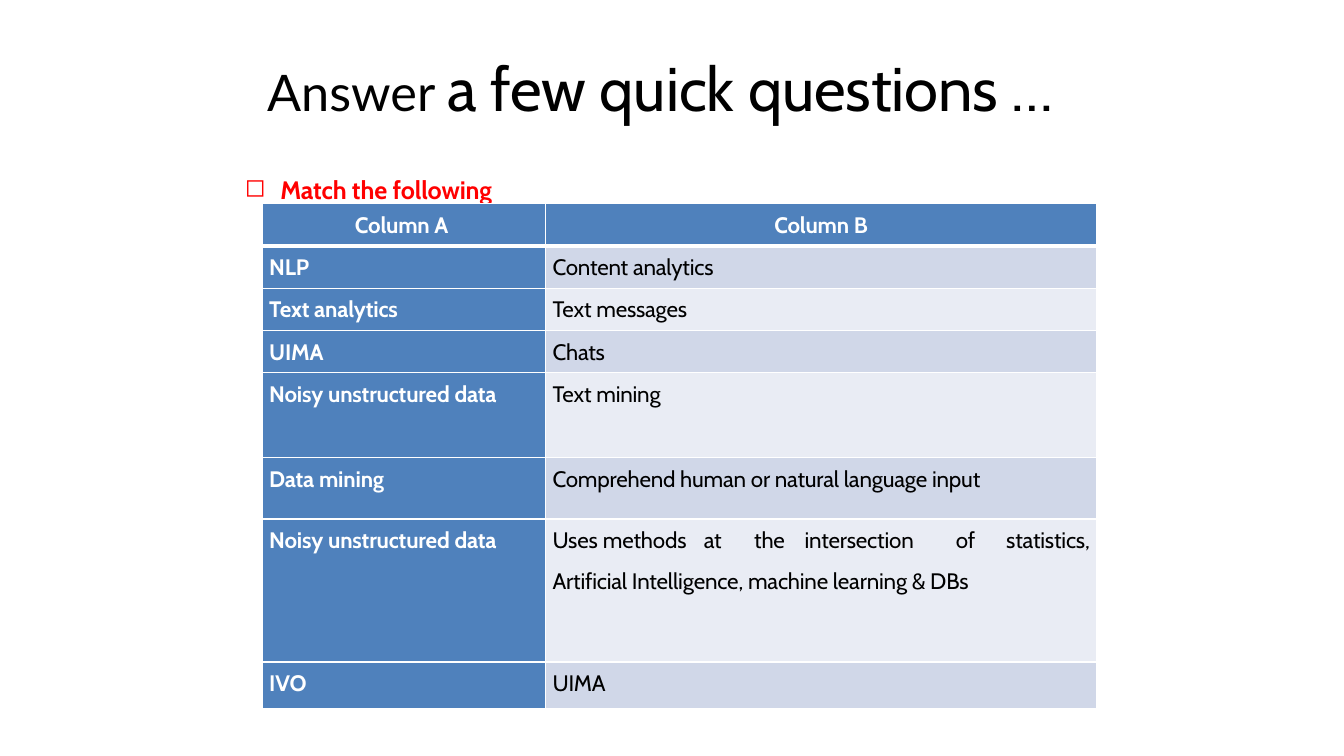
import pptx
import pptx.util
import pptx.dml.color
import pptx.enum.text
import pptx.oxml
import pptx.oxml.ns

Inches, Pt = pptx.util.Inches, pptx.util.Pt
RGBColor = pptx.dml.color.RGBColor
ALIGN = pptx.enum.text.PP_ALIGN
ANCHOR = pptx.enum.text.MSO_ANCHOR
NAMESPACE = pptx.oxml.ns.nsdecls("a")

BLACK = RGBColor(0x00, 0x00, 0x00)
WHITE = RGBColor(0xFF, 0xFF, 0xFF)
RED = RGBColor(0xFF, 0x00, 0x00)
BLUE = RGBColor(0x4F, 0x81, 0xBC)
BANDS = [RGBColor(0xE9, 0xEC, 0xF4), RGBColor(0xD0, 0xD7, 0xE8)]


def add_span(para, text, spacing=-10, **formats):
    """Add a run; spacing is in hundredths of a point."""
    span = para.add_run()
    span.text = text
    color = formats.pop("color", BLACK)
    for name, value in {"name": "Cabin", "bold": False, **formats}.items():
        setattr(span.font, name, value)
    span.font.color.rgb = color
    span.font._element.set("spc", str(spacing))


def set_para(para, left=0, hanging=0, tabs=(), bullet=None, **formats):
    """Set paragraph formats, indents, bullet and tab stops (inches)."""
    for name, value in formats.items():
        setattr(para, name, value)
    properties = para._p.get_or_add_pPr()
    properties.set("marL", str(Inches(left)))
    properties.set("indent", str(Inches(-hanging)))
    mark = f'<a:buChar {NAMESPACE} char="{bullet}"/>' if bullet else f"<a:buNone {NAMESPACE}/>"
    properties.append(pptx.oxml.parse_xml(mark))
    if tabs:
        stops = "".join(f'<a:tab pos="{Inches(stop)}" algn="l"/>' for stop in tabs)
        properties.append(pptx.oxml.parse_xml(f"<a:tabLst {NAMESPACE}>{stops}</a:tabLst>"))


deck = pptx.Presentation()
deck.slide_width, deck.slide_height = Inches(13.33), Inches(7.5)
page = deck.slides.add_slide(deck.slide_layouts.get_by_name("Title Only"))

# Title and prompt
title = page.shapes.title
title.left, title.top, title.width, title.height = map(Inches, (2.64, 0.23, 8.05, 1.35))
prompt = page.shapes.add_textbox(*map(Inches, (2.42, 1.72, 2.68, 0.33)))
frame_formats = {
    "margin_left": 0, "margin_right": 0, "margin_top": Inches(0.01), "margin_bottom": 0,
    "word_wrap": True, "auto_size": pptx.enum.text.MSO_AUTO_SIZE.NONE,
}
for box, anchor in [(title, ANCHOR.MIDDLE), (prompt, ANCHOR.TOP)]:
    box.text_frame.vertical_anchor = anchor
    for name, value in frame_formats.items():
        setattr(box.text_frame, name, value)

para = title.text_frame.paragraphs[0]
set_para(para, left=0.01, alignment=ALIGN.LEFT, line_spacing=0.9, space_before=Pt(0.9))
add_span(para, "Answer ", spacing=0, name="Lato", size=Pt(36))
add_span(para, "a few quick questions …", size=Pt(44))

para = prompt.text_frame.paragraphs[0]
set_para(para, left=0.36, hanging=0.35, tabs=[0.36], bullet="◻", space_before=Pt(1))
add_span(para, "Match the following", size=Pt(18), bold=True, color=RED)

# Matching table: column A, column B, row height
spread_line = "\t".join(["Uses", "methods", "at", "the", "intersection", "of", "statistics,"])
SPREAD_TABS = [0.71, 1.74, 2.13, 2.65, 4.04, 4.42]
rows = [
    (["Column A"], ["Column B"], 0.42),
    (["NLP"], ["Content analytics"], 0.42),
    (["Text analytics"], ["Text messages"], 0.42),
    (["UIMA"], ["Chats"], 0.42),
    (["Noisy unstructured data"], ["Text mining"], 0.84),
    (["Data mining"], ["Comprehend human or natural language input"], 0.61),
    (["Noisy unstructured data"],
     [spread_line, "Artificial Intelligence, machine learning & DBs"], 1.42),
    (["IVO"], ["UIMA"], 0.46),
]
table = page.shapes.add_table(len(rows), 2, *map(Inches, (2.6, 2.02, 8.28, 5))).table
for column, width in zip(table.columns, (2.81, 5.47)):
    column.width = Inches(width)

cell_margins = {"margin_left": 0, "margin_right": 0, "margin_top": Inches(0.08), "margin_bottom": 0}
for row_index, (left_lines, right_lines, height) in enumerate(rows):
    table.rows[row_index].height = Inches(height)
    header = row_index == 0
    for column_index, lines in enumerate((left_lines, right_lines)):
        cell = table.cell(row_index, column_index)
        strong = header or column_index == 0
        for name, value in cell_margins.items():
            setattr(cell, name, value)

        # White borders, thick under the header, then the fill
        widths = {"L": 1, "R": 1, "T": 3 if row_index == 1 else 1, "B": 3 if header else 1}
        for side, width in widths.items():
            cell._tc.get_or_add_tcPr().append(pptx.oxml.parse_xml(
                f'<a:ln{side} {NAMESPACE} w="{Pt(width)}"><a:solidFill>'
                f'<a:srgbClr val="{WHITE}"/></a:solidFill></a:ln{side}>'))
        cell.fill.solid()
        cell.fill.fore_color.rgb = BLUE if strong else BANDS[row_index % 2]

        # Cell text
        centred = header and column_index == 1
        indent = (0.92, 0)[column_index] if header else 0.07
        for line_index, line in enumerate(lines):
            para = cell.text_frame.add_paragraph() if line_index else cell.text_frame.paragraphs[0]
            set_para(para, left=indent, tabs=SPREAD_TABS if line == spread_line else (),
                     alignment=ALIGN.CENTER if centred else ALIGN.LEFT,
                     space_before=Pt(9.6 if line_index else 5.7))
            add_span(para, line, size=Pt(16), bold=strong, color=WHITE if strong else BLACK)

deck.save("out.pptx")
